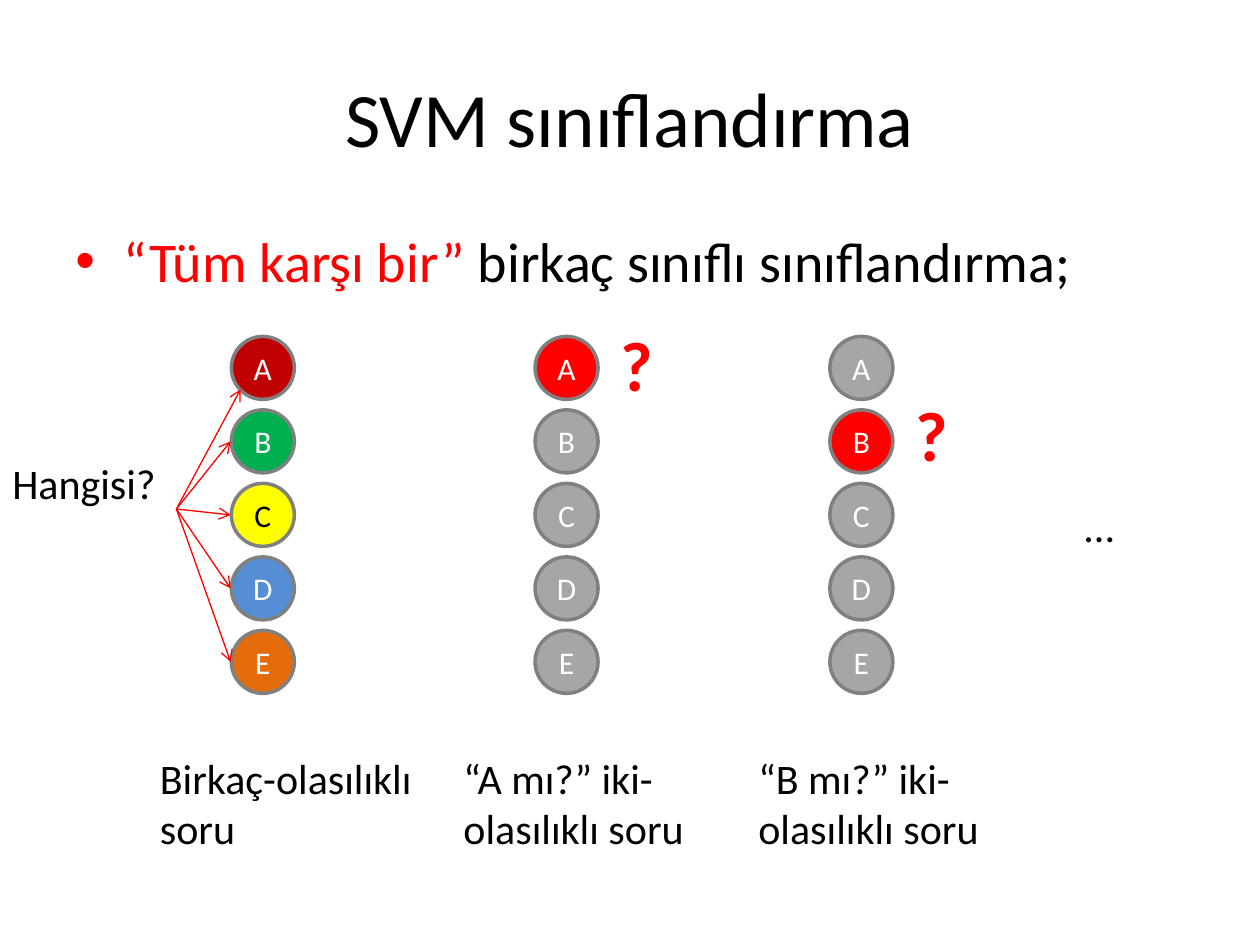
from dataclasses import dataclass

from lxml.etree import SubElement
from pptx import Presentation
from pptx.dml.color import RGBColor as RGB
from pptx.enum.shapes import MSO_CONNECTOR as Link, MSO_SHAPE as Shape
from pptx.enum.text import MSO_ANCHOR as Anchor, PP_ALIGN as Align
from pptx.oxml.ns import qn
from pptx.util import Inches, Pt


@dataclass(frozen=True)
class Theme:
    font: str = "Calibri"
    black: str = "000000"
    white: str = "FFFFFF"
    red: str = "FF0000"
    gray: str = "A6A6A6"
    edge: str = "808080"
    title: int = 44
    body: int = 32
    mark: int = 40
    note: int = 24
    label: int = 18


THEME = Theme()
LABELS = "ABCDE"
COLORS = ["C00000", "00B050", "FFFF00", "558ED5", "E46C0A"]
SIZE = 0.5
STEP = 7 / 12


def write(frame, *runs, size=THEME.note, color=THEME.black, bold=False,
          align=Align.LEFT, anchor=Anchor.TOP, wrap=True, bullet=None):
    """Fill a text frame; a run is a string or a (string, color) pair."""
    frame.word_wrap = wrap
    frame.vertical_anchor = anchor
    para = frame.paragraphs[0]
    para.alignment = align
    if bullet:
        props = para._p.get_or_add_pPr()
        props.set("marL", str(Inches(0.38)))
        props.set("indent", str(-Inches(0.38)))
        SubElement(props, qn("a:buFont"), typeface="Arial")
        SubElement(props, qn("a:buChar"), char=bullet)
    for item in runs:
        text, tint = (item, color) if isinstance(item, str) else item
        run = para.add_run()
        run.text = text
        font = run.font
        font.name, font.size, font.bold = THEME.font, Pt(size), bold
        font.color.rgb = RGB.from_string(tint)


def add_text(slide, box, *runs, **style):
    shape = slide.shapes.add_textbox(*map(Inches, box))
    write(shape.text_frame, *runs, **style)


def add_node(slide, box, text, fill):
    node = slide.shapes.add_shape(Shape.OVAL, *map(Inches, box))
    node.shadow.inherit = False
    node.fill.solid()
    node.fill.fore_color.rgb = RGB.from_string(fill)
    node.line.color.rgb = RGB.from_string(THEME.edge)
    node.line.width = Pt(2)
    color = THEME.black if fill == "FFFF00" else THEME.white
    write(node.text_frame, text, size=THEME.label, color=color,
          align=Align.CENTER, anchor=Anchor.MIDDLE)


def add_arrow(slide, start, end):
    line = slide.shapes.add_connector(Link.STRAIGHT, *map(Inches, start + end))
    line.line.color.rgb = RGB.from_string(THEME.red)
    line.line.width = Pt(0.75)
    SubElement(line.line._get_or_add_ln(), qn("a:tailEnd"), type="arrow")
    SubElement(line._element.spPr, qn("a:effectLst"))


def add_column(slide, box, colors, caption):
    """Stack the class circles in the middle of the box, caption below."""
    left, top, width, height = box
    x = left + 2 / 3
    for row, (label, color) in enumerate(zip(LABELS, colors)):
        add_node(slide, (x, top + row * STEP, SIZE, SIZE), label, color)
    add_text(slide, (left, top + height - 0.91, width, 0.91), caption)


def add_fan(slide, box):
    """Draw arrows from the left of the box to each circle on its right."""
    left, top, width, _ = box
    start = (left, 4.04)
    for row in range(len(LABELS)):
        end = (left + width, top + SIZE / 2 + row * STEP)
        if row == 0:
            end = (end[0] + 0.08, end[1] + 0.17)
        add_arrow(slide, start, end)


def add_heading(slide, box):
    add_text(slide, box, "SVM sınıflandırma", size=THEME.title,
             align=Align.CENTER, anchor=Anchor.MIDDLE)


def add_body(slide, box):
    add_text(slide, box, ("“Tüm karşı bir” ", THEME.red),
             "birkaç sınıflı sınıflandırma;", size=THEME.body, bullet="•")


def pick(label):
    """Color one class red and the others gray."""
    return [THEME.red if name == label else THEME.gray for name in LABELS]


def main():
    deck = Presentation()
    deck.slide_width, deck.slide_height = Inches(10), Inches(7.5)
    slide = deck.slides.add_slide(deck.slide_layouts[6])

    add_heading(slide, (0.5, 0.3, 9, 1.25))
    add_body(slide, (0.5, 1.75, 9, 4.95))

    columns = [
        (1.17, COLORS, "Birkaç-olasılıklı soru"),
        (3.58, pick("A"), "“A mı?” iki- olasılıklı soru"),
        (5.92, pick("B"), "“B mı?” iki-olasılıklı soru"),
    ]
    for left, colors, caption in columns:
        add_column(slide, (left, 2.67, 2.25, 4.16), colors, caption)

    add_text(slide, (8.5, 3.92, 1.17, 0.5), "...")
    add_text(slide, (0, 3.58, 1.4, 0.91), "Hangisi?")
    add_fan(slide, (1.4, 2.67, 0.43, 2.83))
    for left, top in [(4.83, 2.5), (7.17, 3.06)]:
        add_text(slide, (left, top, 0.46, 0.77), "?", size=THEME.mark,
                 color=THEME.red, bold=True, wrap=False)

    deck.save("out.pptx")


if __name__ == "__main__":
    main()
